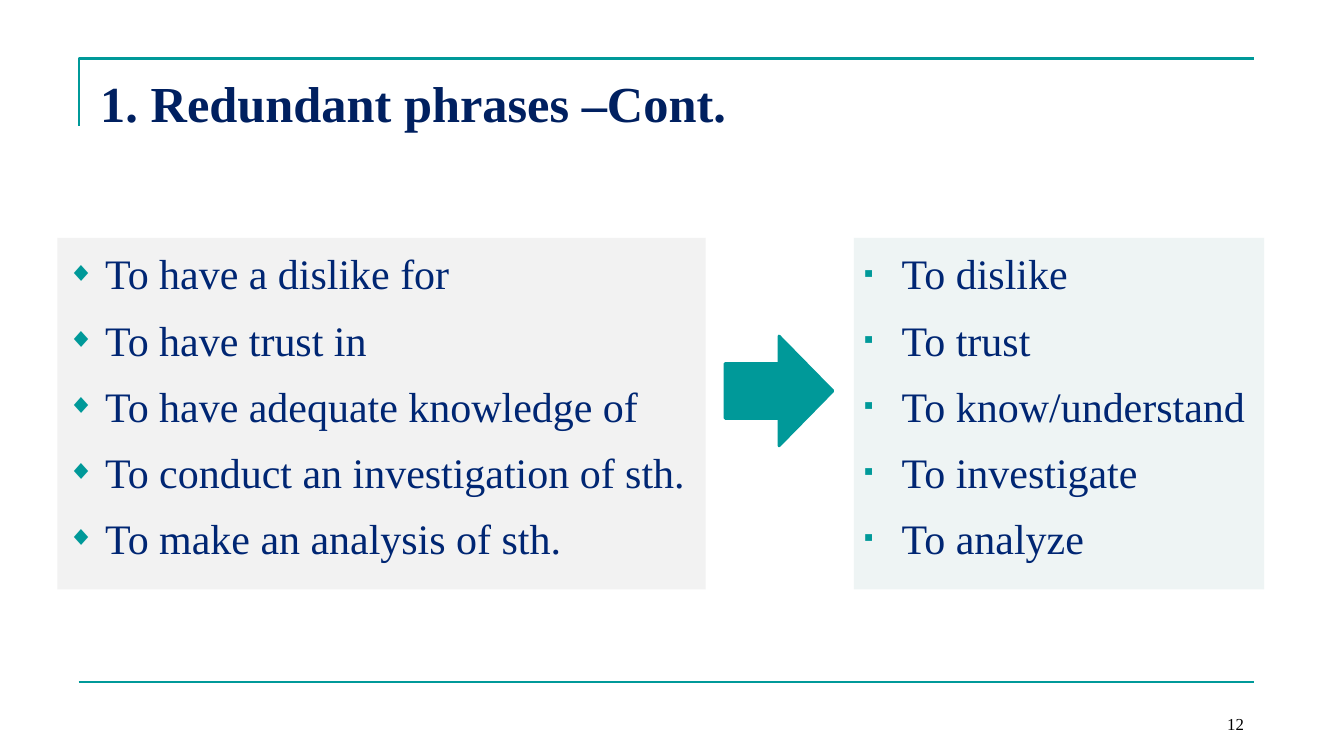
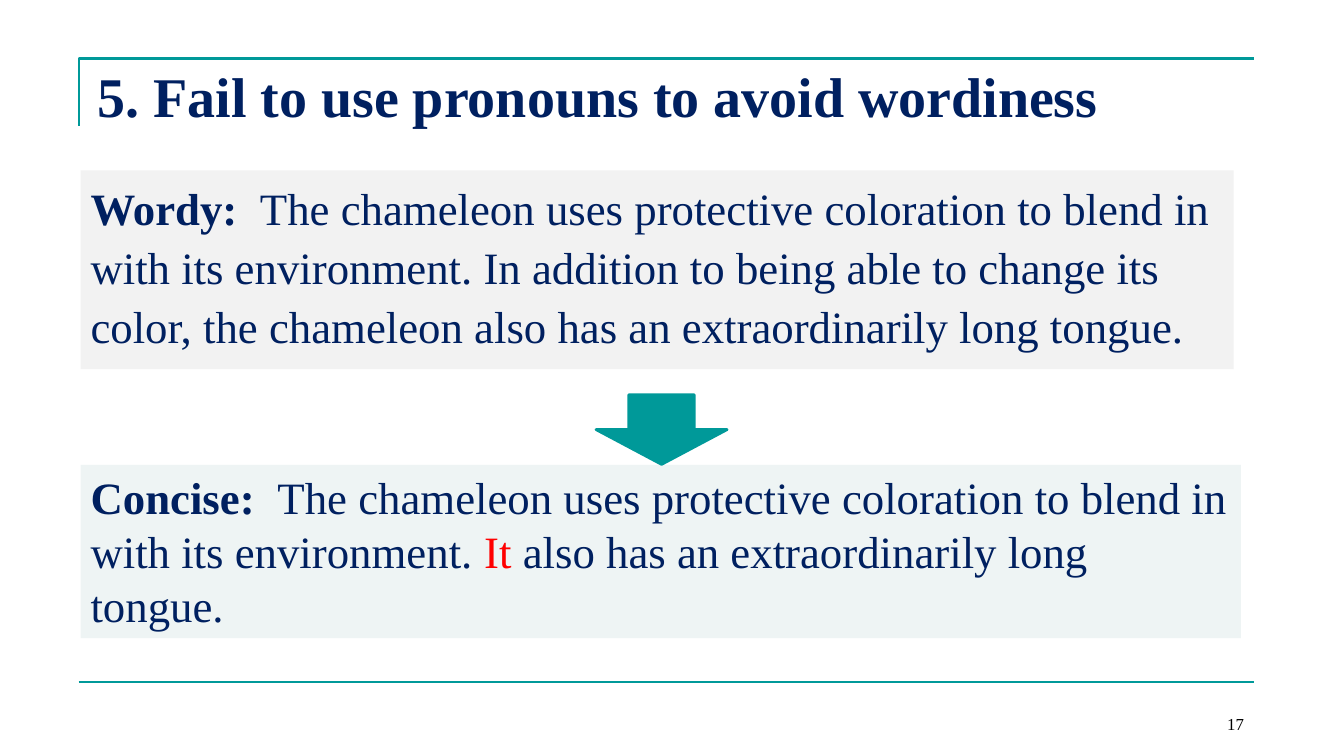
from lxml import etree
from pptx import Presentation
from pptx.dml.color import RGBColor
from pptx.enum.shapes import MSO_CONNECTOR, MSO_SHAPE
from pptx.enum.text import MSO_ANCHOR, MSO_AUTO_SIZE, PP_ALIGN
from pptx.oxml.ns import qn
from pptx.util import Pt

COLORS = {
    "teal": "009999",
    "navy": "002060",
    "blue": "002673",
    "red": "FF0000",
    "black": "000000",
    "gray": "F2F2F2",
    "mint": "EEF4F4",
}
FONT = "Times New Roman"
RULE_LEFT, RULE_RIGHT = 56.2, 895.7
CORNER_TOP, CORNER_BOTTOM, RULE_BOTTOM = 41.8, 90, 487.4


def rgb(name):
    return RGBColor.from_string(COLORS[name])


def write(para, text, size=32, color="navy", bold=False):
    span = para.add_run()
    span.text = text
    span.font.name = FONT
    span.font.size = Pt(size)
    span.font.bold = bold
    span.font.color.rgb = rgb(color)


def add_bullet(para, symbol, indent=27, percent=65):
    """Give the paragraph a hanging teal bullet."""
    props = para._p.get_or_add_pPr()
    props.set("marL", str(Pt(indent)))
    props.set("indent", str(-Pt(indent)))
    color = etree.SubElement(props, qn("a:buClr"))
    etree.SubElement(color, qn("a:srgbClr"), val=COLORS["teal"])
    etree.SubElement(props, qn("a:buSzPct"), val=str(percent * 1000))
    etree.SubElement(props, qn("a:buFont"), typeface=FONT)
    etree.SubElement(props, qn("a:buChar"), char=symbol)


class Deck:
    """Holds the shared style and the page being built."""

    def __init__(self):
        self.deck = Presentation()
        self.deck.slide_width, self.deck.slide_height = Pt(960), Pt(540)
        self.page = None

    def add_page(self, title, number, left, top, width, size):
        self.page = self.deck.slides.add_slide(self.deck.slide_layouts[5])
        self.add_frame()
        self.add_title(title, left, top, width, size)
        self.add_number(number)

    def add_frame(self):
        """Draw the corner above the title and the rule at the foot."""
        shapes = self.page.shapes
        outline = shapes.build_freeform(Pt(RULE_LEFT), Pt(CORNER_BOTTOM))
        outline.add_line_segments(
            [(Pt(RULE_LEFT), Pt(CORNER_TOP)), (Pt(RULE_RIGHT), Pt(CORNER_TOP))],
            close=False)
        corner = outline.convert_to_shape()
        corner.fill.background()
        corner.shadow.inherit = False
        rule = shapes.add_connector(
            MSO_CONNECTOR.STRAIGHT, Pt(RULE_LEFT), Pt(RULE_BOTTOM),
            Pt(RULE_RIGHT), Pt(RULE_BOTTOM))
        etree.SubElement(rule._element.spPr, qn("a:effectLst"))
        for shape in (corner, rule):
            shape.line.color.rgb = rgb("teal")
            shape.line.width = Pt(1.5)

    def add_title(self, text, left, top, width, size):
        title = self.page.shapes.title
        title.left, title.top = Pt(left), Pt(top)
        title.width, title.height = Pt(width), Pt(70)
        frame = title.text_frame
        frame.auto_size = MSO_AUTO_SIZE.NONE
        frame.vertical_anchor = MSO_ANCHOR.TOP
        para = frame.paragraphs[0]
        para.alignment = PP_ALIGN.LEFT
        write(para, text, size=size, bold=True)

    def add_number(self, number):
        box = self.page.shapes.add_textbox(
            Pt(RULE_RIGHT - 224), Pt(492), Pt(224), Pt(36))
        frame = box.text_frame
        frame.word_wrap = True
        frame.vertical_anchor = MSO_ANCHOR.BOTTOM
        para = frame.paragraphs[0]
        para.alignment = PP_ALIGN.RIGHT
        write(para, str(number), size=12, color="black")

    def add_panel(self, left, top, width, height, fill):
        """Add a filled text panel and return its text frame."""
        box = self.page.shapes.add_textbox(
            Pt(left), Pt(top), Pt(width), Pt(height))
        box.fill.solid()
        box.fill.fore_color.rgb = rgb(fill)
        box.text_frame.word_wrap = True
        return box.text_frame

    def add_list(self, items, symbol, left, width, fill):
        frame = self.add_panel(left, 170, width, 251, fill)
        for index, item in enumerate(items):
            para = frame.add_paragraph() if index else frame.paragraphs[0]
            para.line_spacing = 1.1
            para.space_before = Pt(7.6 if index else 0)
            add_bullet(para, symbol)
            write(para, item, size=30, color="blue")

    def add_example(self, spans, top, width, height, fill, spacing=1.0):
        """Add a panel with one paragraph made of (text, format) spans."""
        para = self.add_panel(57.6, top, width, height, fill).paragraphs[0]
        para.line_spacing = spacing
        for text, style in spans:
            write(para, text, **style)

    def add_arrow(self, kind, left, top, width, height):
        arrow = self.page.shapes.add_shape(
            kind, Pt(left), Pt(top), Pt(width), Pt(height))
        arrow.shadow.inherit = False
        arrow.fill.solid()
        arrow.fill.fore_color.rgb = rgb("teal")
        arrow.line.color.rgb = rgb("teal")
        arrow.line.width = Pt(2)


def main():
    deck = Deck()

    deck.add_page("1. Redundant phrases –Cont.", 12,
                  left=64.4, top=48.2, width=872.6, size=36)
    phrases = [
        ("To have a dislike for", "To dislike"),
        ("To have trust in", "To trust"),
        ("To have adequate knowledge of", "To know/understand"),
        ("To conduct an investigation of sth.", "To investigate"),
        ("To make an analysis of sth.", "To analyze"),
    ]
    wordy, concise = zip(*phrases)
    deck.add_list(wordy, "◆", left=41, width=463, fill="gray")
    deck.add_list(concise, "▪", left=610, width=293, fill="mint")
    deck.add_arrow(MSO_SHAPE.RIGHT_ARROW, 518, 240, 77, 78.5)

    deck.add_page("5. Fail to use pronouns to avoid wordiness", 17,
                  left=62.6, top=40.3, width=823.7, size=40)
    deck.add_example(
        [("Wordy:  ", {"bold": True}),
         ("The chameleon uses protective coloration to blend in with its "
          "environment. In addition to being able to change its color, the "
          "chameleon also has an extraordinarily long tongue.", {})],
        top=121.7, width=823.7, height=142, fill="gray", spacing=1.1)
    deck.add_example(
        [("Concise:  ", {"bold": True}),
         ("The chameleon uses protective coloration to blend in with its "
          "environment. ", {}),
         ("It", {"color": "red"}),
         (" also has an extraordinarily long tongue.", {})],
        top=332, width=828.7, height=123.8, fill="mint")
    deck.add_arrow(MSO_SHAPE.DOWN_ARROW, 425.8, 282, 93.6, 49.7)

    deck.deck.save("out.pptx")


if __name__ == "__main__":
    main()
